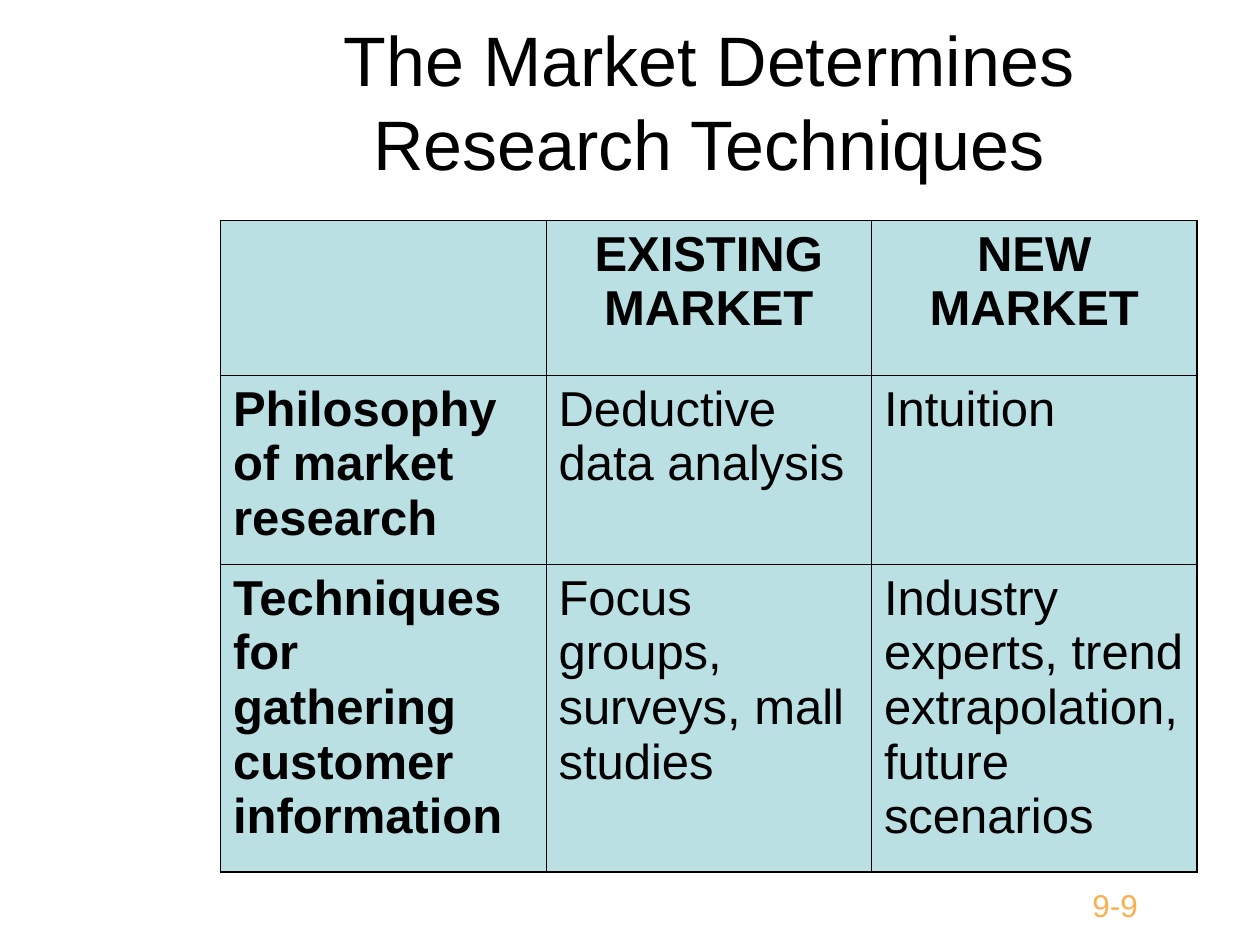
from dataclasses import dataclass

from lxml import etree
from pptx import Presentation
from pptx import util as u
from pptx.dml.color import RGBColor
from pptx.enum import text
from pptx.oxml import ns


@dataclass(frozen=True)
class Theme:
    font: str = "Arial"
    ink: str = "000000"
    cell: str = "BBE0E3"
    accent: str = "FAB04E"
    title: int = 40
    body: int = 28
    number: int = 18
    outer: float = 1.08
    inner: float = 0.45


theme = Theme()


def write(tf, words, size, color, bold=False, align=text.PP_ALIGN.LEFT):
    tf.word_wrap = True
    p = tf.paragraphs[0]
    p.text = words
    p.alignment = align
    p.font.name = theme.font
    p.font.size = u.Pt(size)
    p.font.bold = bold
    p.font.color.rgb = RGBColor.from_string(color)
    return p


def set_borders(cell, widths):
    """Add cell borders in schema order: left, right, top, bottom."""
    props = cell._tc.get_or_add_tcPr()
    for i, (side, width) in enumerate(zip("LRTB", widths)):
        ln = etree.Element(ns.qn(f"a:ln{side}"), w=str(u.Pt(width)))
        fill = etree.SubElement(ln, ns.qn("a:solidFill"))
        etree.SubElement(fill, ns.qn("a:srgbClr"), val=theme.ink)
        props.insert(i, ln)


prs = Presentation()
prs.slide_width, prs.slide_height = u.Inches(10), u.Inches(7.5)
s = prs.slides.add_slide(prs.slide_layouts[6])

# Page number
sp = s.shapes.add_textbox(u.Inches(8.62), u.Inches(6.67), u.Inches(1.46), u.Inches(0.71))
tf = sp.text_frame
tf.vertical_anchor = text.MSO_ANCHOR.BOTTOM
tf.margin_left = tf.margin_right = u.Inches(0.05)
p = write(tf, "9-9", theme.number, theme.accent)
p.line_spacing = u.Pt(44)

# Title
sp = s.shapes.add_textbox(u.Inches(1.75), u.Inches(0.17), u.Inches(7.75), u.Inches(1.25))
sp.text_frame.vertical_anchor = text.MSO_ANCHOR.MIDDLE
write(sp.text_frame, "The Market Determines Research Techniques",
      theme.title, theme.ink, align=text.PP_ALIGN.CENTER)

# Market comparison table
rows = [
    ["", "EXISTING MARKET", "NEW MARKET"],
    ["Philosophy of market research", "Deductive data analysis", "Intuition"],
    ["Techniques for gathering customer information",
     "Focus groups, surveys, mall studies",
     "Industry experts, trend extrapolation, future scenarios"],
]
heights = [1.23, 1.5, 2.44]
last_row, last_col = len(rows) - 1, len(rows[0]) - 1
table = s.shapes.add_table(len(rows), len(rows[0]), u.Inches(1.75), u.Inches(1.75),
                           u.Inches(7.75), u.Inches(sum(heights))).table

for r, (height, row) in enumerate(zip(heights, rows)):
    table.rows[r].height = u.Inches(height)
    for c, words in enumerate(row):
        cell = table.cell(r, c)
        cell.fill.solid()
        cell.fill.fore_color.rgb = RGBColor.from_string(theme.cell)
        align = text.PP_ALIGN.CENTER if r == 0 else text.PP_ALIGN.LEFT
        p = write(cell.text_frame, words, theme.body, theme.ink, r == 0 or c == 0, align)
        p.space_before = u.Pt(7)
        on_edge = (c == 0, c == last_col, r == 0, r == last_row)
        set_borders(cell, [theme.outer if edge else theme.inner for edge in on_edge])

prs.save("out.pptx")
